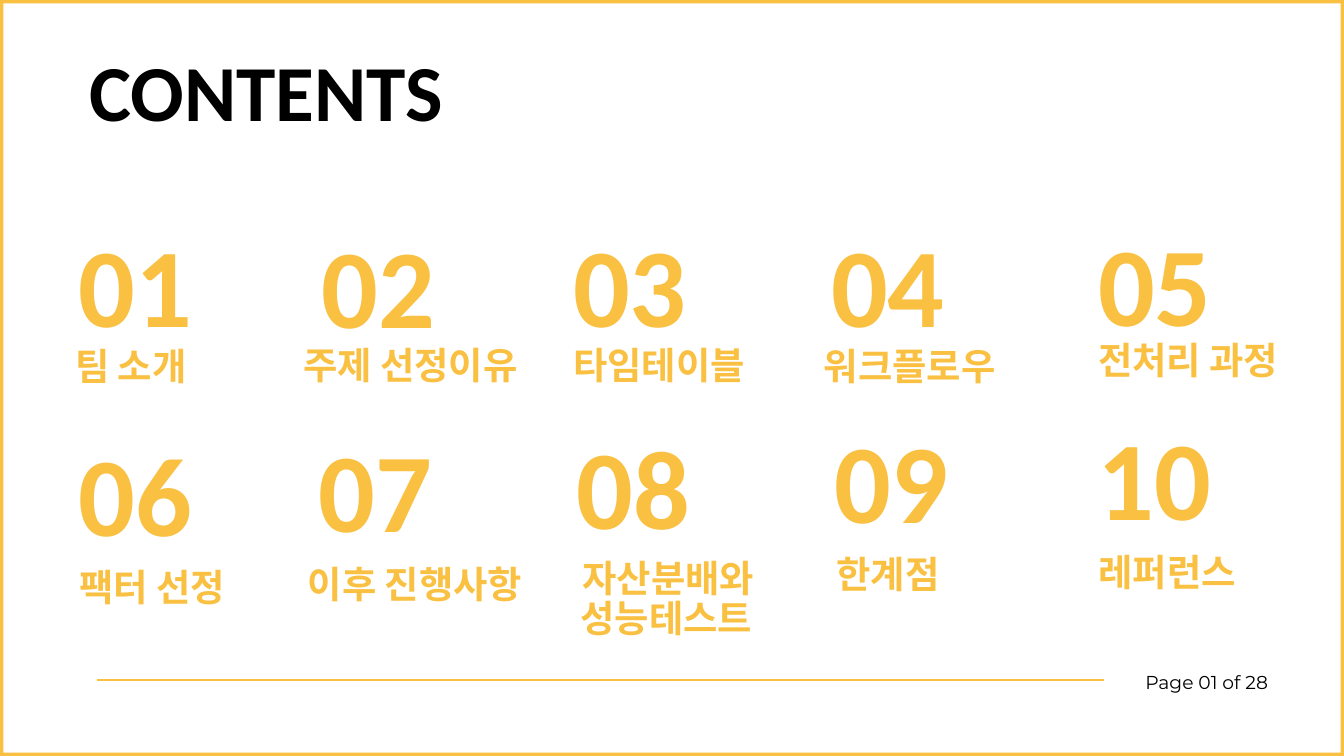
from dataclasses import dataclass

from lxml.etree import SubElement
from pptx import Presentation
from pptx.dml.color import RGBColor
from pptx.enum.shapes import MSO_CONNECTOR
from pptx.enum.text import MSO_AUTO_SIZE, PP_ALIGN
from pptx.oxml.ns import qn
from pptx.util import Pt

PX = 9144  # 100 px to the inch
WIDTH, HEIGHT = 2000, 1125
EDGE = 5


@dataclass(frozen=True)
class Style:
    font: str
    size: int
    lead: float
    color: RGBColor
    bold: bool = True


class Theme:
    gold = RGBColor(0xF9, 0xC0, 0x41)
    black = RGBColor(0, 0, 0)
    rule = Pt(1.5)
    title = Style("Calibri", 85, 60.4, black)
    number = Style("Calibri", 120, 114, gold)
    label = Style("Arial", 40, 33.6, gold)
    accent = Style("Montserrat", 40, 33.6, gold)
    page = Style("Montserrat", 20, 28, black, False)


# Number boxes: left, top, width; they count up from 01
NUMBERS = [
    (117, 362, 322), (479, 364, 271), (853, 362, 298),
    (1237, 363, 293), (1634, 361, 258),
    (117, 673, 284), (474, 668, 284), (858, 663, 284),
    (1242, 654, 284), (1633, 650, 284),
]

# Labels: text, left, top, width, height, style
LABELS = [
    ("팀 소개", 112, 530, 433, 50, Theme.label),
    ("주제 선정이유", 451, 529, 433, 50, Theme.label),
    ("타임테이블", 853, 529, 414, 50, Theme.label),
    ("워크플로우", 1226, 530, 433, 49, Theme.accent),
    ("전처리 과정", 1634, 522, 433, 49, Theme.accent),
    ("팩터 선정", 118, 860, 433, 50, Theme.label),
    ("이후 진행사항", 458, 855, 433, 50, Theme.label),
    ("자산분배와", 867, 846, 433, 48, Theme.label),
    ("성능테스트", 864, 906, 530, 48, Theme.label),
    ("한계점", 1245, 840, 530, 48, Theme.label),
    ("레퍼런스", 1635, 837, 433, 50, Theme.label),
]


def add_text(slide, text, x, y, w, h, style, align=PP_ALIGN.LEFT):
    w = min(w, WIDTH - x)
    box = slide.shapes.add_textbox(x * PX, y * PX, w * PX, h * PX)
    frame = box.text_frame
    frame.margin_left = frame.margin_right = 0
    frame.margin_top = frame.margin_bottom = 0
    frame.word_wrap = True
    frame.auto_size = MSO_AUTO_SIZE.SHAPE_TO_FIT_TEXT
    para = frame.paragraphs[0]
    para.alignment = align
    para.line_spacing = Pt(style.lead)
    run = para.add_run()
    run.text = text
    run.font.name = style.font
    run.font.size = Pt(style.size)
    run.font.bold = style.bold
    run.font.color.rgb = style.color


def add_frame(slide):
    right, low = WIDTH - EDGE, HEIGHT - EDGE
    pen = slide.shapes.build_freeform(0, 0, scale=PX)
    pen.add_line_segments([(0, HEIGHT), (WIDTH, HEIGHT), (WIDTH, 0)])
    pen.move_to(right, low)
    pen.add_line_segments([(EDGE, low), (EDGE, EDGE), (right, EDGE)])
    shape = pen.convert_to_shape()
    shape.shadow.inherit = False
    shape.fill.solid()
    shape.fill.fore_color.rgb = Theme.gold
    shape.line.fill.background()


def add_rule(slide, x, y, end):
    rule = slide.shapes.add_connector(
        MSO_CONNECTOR.STRAIGHT, x * PX, y * PX, end * PX, y * PX)
    rule.line.color.rgb = Theme.gold
    rule.line.width = Theme.rule
    SubElement(rule._element.spPr, qn("a:effectLst"))


def main():
    deck = Presentation()
    deck.slide_width, deck.slide_height = WIDTH * PX, HEIGHT * PX
    slide = deck.slides.add_slide(deck.slide_layouts[6])
    add_frame(slide)
    add_rule(slide, 145, 1012, 1643)
    add_text(slide, "Page 01 of 28", 1670, 993, 217, 36,
             Theme.page, PP_ALIGN.RIGHT)
    add_text(slide, "CONTENTS", 133, 121, 1219, 96, Theme.title)
    for count, (x, y, w) in enumerate(NUMBERS, 1):
        add_text(slide, f"{count:02}", x, y, w, 164, Theme.number)
    for label in LABELS:
        add_text(slide, *label)
    deck.save("out.pptx")


if __name__ == "__main__":
    main()
